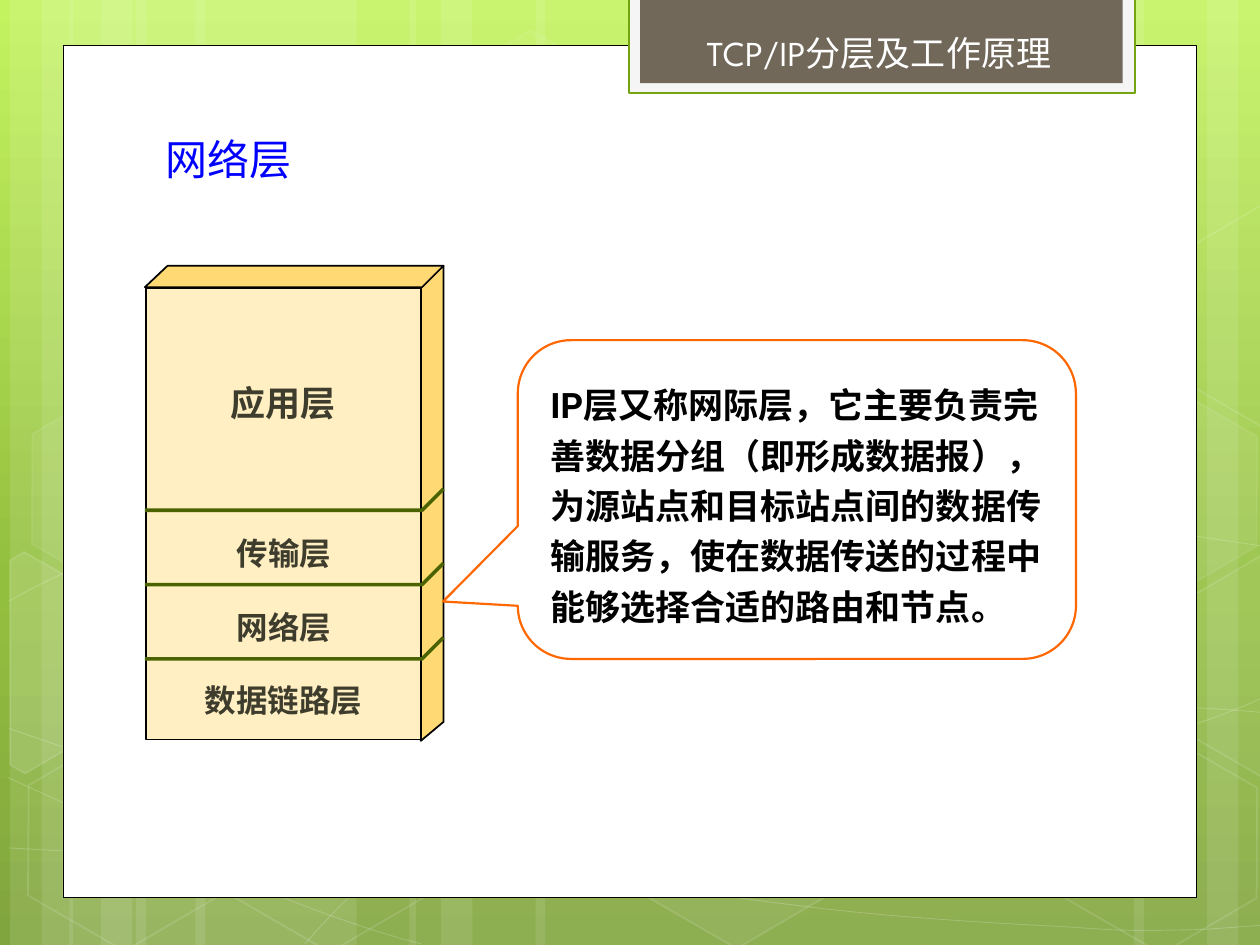
from copy import deepcopy

from pptx import Presentation
from pptx.dml.color import RGBColor
from pptx.enum.shapes import MSO_SHAPE
from pptx.enum.text import PP_ALIGN
from pptx.oxml.ns import qn
from pptx.util import Inches, Pt

COLORS = {
    "white": "FFFFFF", "black": "000000", "frame": "F5F5F5", "green": "74A510",
    "brown": "71685A", "blue": "0000FF", "front": "FFEFC2", "side": "FFDA74",
    "label": "3E3D2D", "divider": "4A6300", "orange": "FF6700",
    "sky": "C3F35F", "middle": "93BF3F", "ground": "81A53E",
}
BACKGROUND = [(0, "sky"), (0.62, "middle"), (1, "ground")]

# Left edge and width of the pale vertical bands
BANDS = [
    (1.08, 1.75), (0.08, 0.5), (0.33, 0.83), (1.55, 1.75), (0.55, 0.5), (0.8, 0.83),
    (7.33, 1.75), (9.58, 0.5), (9, 0.83), (4.25, 3.08), (3.25, 0.5), (3.5, 0.83),
]
# Chained cubic curves: a start point, then three points for each segment
CURVES = [
    [(0.07, 6.73), (0.61, 6.76), (1.15, 6.79), (1.9, 6.78), (2.65, 6.77), (3.58, 6.75),
     (4.58, 6.65), (5.58, 6.55), (7, 6.36), (7.92, 6.17), (8.83, 5.98), (9.77, 5.68),
     (10.07, 5.51)],
    [(0.07, 4.77), (0.36, 4.61), (0.65, 4.46), (1.21, 4.31), (1.78, 4.16), (2.59, 3.94),
     (3.47, 3.87), (4.36, 3.8), (5.44, 3.79), (6.54, 3.87), (7.64, 3.95), (9.47, 4.26),
     (10.07, 4.34)],
    [(0.06, 6.17), (1.27, 6.72), (2.47, 7.27), (3.34, 7.49)],
    [(0.07, 5.78), (0.38, 5.89), (0.7, 6), (1.28, 6.16), (1.86, 6.31), (2.73, 6.56),
     (3.57, 6.73), (4.4, 6.9), (5.45, 7.08), (6.28, 7.18), (7.11, 7.29), (8, 7.33),
     (8.53, 7.36), (9.05, 7.4), (9.19, 7.38), (9.45, 7.38), (9.71, 7.37), (9.89, 7.35),
     (10.07, 7.34)],
    [(2.42, 7.49), (2.6, 7.29), (2.78, 7.09), (3.02, 6.91), (3.26, 6.73), (3.6, 6.53),
     (3.88, 6.39), (4.16, 6.25), (4.33, 6.19), (4.7, 6.09), (5.06, 5.99), (5.73, 5.85),
     (6.08, 5.78), (6.44, 5.71), (6.49, 5.71), (6.8, 5.69), (7.11, 5.66), (7.6, 5.63),
     (7.94, 5.62), (8.29, 5.61), (9.2, 5.62), (9.53, 5.62), (9.71, 5.63), (9.88, 5.64),
     (10.06, 5.66)],
]
# Left, top, fill opacity and line opacity (percent)
HEXAGONS = [
    (3.34, 0.36, 4, 8), (4.97, 5.89, 6, 12), (0.11, 5.91, 0, 12), (0.14, 3.12, 7, 8),
    (1.74, 5.92, 0, 12), (8.34, 5.93, 0, 12), (8.34, 3.14, 7, 8),
]
# Hexagons cut by the slide edge: points and fill opacity
CUT_HEXAGONS = [
    ([(0.08, 4.45), (0.19, 4.38), (0.96, 4.82), (0.95, 5.7), (0.2, 6.14), (0.08, 6.07)], 10),
    ([(9.26, 4.85), (10.01, 4.41), (10.09, 4.46), (10.09, 6.13), (10.02, 6.17), (9.26, 5.73)], 4),
    ([(9.26, 2.07), (10.01, 1.63), (10.1, 1.68), (10.09, 3.35), (10.02, 3.39), (9.26, 2.95)], 0),
]
# Text, left, top, width, height, size
LAYERS = [
    ("应用层", 1.43, 2.97, 1.64, 0.49, 20), ("传输层", 1.54, 4.18, 1.43, 0.45, 18),
    ("网络层", 1.54, 4.77, 1.43, 0.45, 18), ("数据链路层", 1.43, 5.35, 1.64, 0.45, 18),
]
EXPLANATION = (
    "IP层又称网际层，它主要负责完善数据分组（即形成数据报），为源站点和目标站点间的"
    "数据传输服务，使在数据传送的过程中能够选择合适的路由和节点。"
)


def rgb(name):
    return RGBColor.from_string(COLORS[name])


class SlideBuilder:
    def __init__(self, slide):
        self.s = slide

    def paint(self, fill, name, alpha=100):
        if name is None or alpha == 0:
            fill.background()
            return
        fill.solid()
        fill.fore_color.rgb = rgb(name)
        if alpha < 100:
            color = fill._xPr.find(qn("a:solidFill"))[0]
            color.append(color.makeelement(qn("a:alpha"), {"val": str(alpha * 1000)}))

    def style(self, sp, fill=None, alpha=100, line=None, width=1, line_alpha=100):
        sp.shadow.inherit = False
        self.paint(sp.fill, fill, alpha)
        self.paint(sp.line.fill, line, line_alpha)
        if line:
            sp.line.width = Pt(width)
        return sp

    def shape(self, kind, box, adjustments=(), rotation=0, **look):
        sp = self.s.shapes.add_shape(kind, *map(Inches, box))
        for i, value in enumerate(adjustments):
            sp.adjustments[i] = value
        sp.rotation = rotation
        return self.style(sp, **look)

    def rect(self, *box, **look):
        return self.shape(MSO_SHAPE.RECTANGLE, box, **look)

    def outline(self, points, close=False, **look):
        pts = [(Inches(x), Inches(y)) for x, y in points]
        builder = self.s.shapes.build_freeform(*pts[0])
        builder.add_line_segments(pts[1:], close=close)
        return self.style(builder.convert_to_shape(), **look)

    def curve(self, points, **look):
        """Draw a chain of cubic segments, turning every three line ends into one."""
        sp = self.outline(points, **look)
        lines = list(sp._element.iter(qn("a:lnTo")))
        for i in range(0, len(lines), 3):
            cubic = lines[i].makeelement(qn("a:cubicBezTo"), {})
            lines[i].addprevious(cubic)
            for ln in lines[i:i + 3]:
                cubic.append(ln[0])
                ln.getparent().remove(ln)

    def text(self, content, box, frame=None, para=None, color="black", **font):
        tf = self.s.shapes.add_textbox(*map(Inches, box)).text_frame
        p = tf.paragraphs[0]
        r = p.add_run()
        r.text = content
        r.font.color.rgb = rgb(color)
        font["size"] = Pt(font["size"])
        for target, values in ((tf, {"word_wrap": True, **(frame or {})}),
                               (p, para or {}), (r.font, font)):
            for key, value in values.items():
                setattr(target, key, value)

    def background(self, stops):
        fill = self.s.background.fill
        fill.gradient()
        fill.gradient_angle = 270
        first = self.s.element.find(".//" + qn("a:gs"))
        first.addnext(deepcopy(first))
        for stop, (position, color) in zip(fill.gradient_stops, stops):
            stop.position = position
            stop.color.rgb = rgb(color)


def draw_backdrop(b):
    b.background(BACKGROUND)
    for left, width in BANDS:
        b.rect(left, 0, width, 7.5, fill="white", alpha=10)
    for points in CURVES:
        b.curve(points, line="white", width=0.5, line_alpha=20)
    for left, top, alpha, line_alpha in HEXAGONS:
        b.shape(MSO_SHAPE.HEXAGON, (left, top, 1.75, 1.52), [0.285], 30,
                fill="white", alpha=alpha, line="white", line_alpha=line_alpha)
    for points, alpha in CUT_HEXAGONS:
        b.outline(points, close=True, fill="white", alpha=alpha, line="white", line_alpha=12)
    b.rect(0.5, 0.36, 9, 6.76, fill="white", line="black", width=0.5)
    b.rect(4.99, -0.02, 4.02, 0.76, fill="frame", line="green", width=1.25)
    b.rect(5.08, -0.02, 3.83, 0.68, fill="brown")


def draw_layer_stack(b):
    solid = {"close": True, "fill": "side", "line": "black"}
    b.outline([(3.52, 2.11), (3.34, 2.26), (3.34, 5.88), (3.52, 5.73)], **solid)
    b.rect(1.16, 2.29, 2.18, 3.58, fill="front", line="black")
    insets = {"margin_left": Inches(0.16), "margin_right": Inches(0.16),
              "margin_top": Inches(0.08), "margin_bottom": Inches(0.08)}
    for name, *box, size in LAYERS:
        b.text(name, box, insets, {"alignment": PP_ALIGN.CENTER, "line_spacing": 0.95},
               "label", size=size, name="Arial", bold=True)
    b.outline([(1.15, 2.28), (1.33, 2.11), (3.52, 2.11), (3.35, 2.28)], **solid)
    for i in range(3):
        y = 4.05 + 0.59 * i
        b.outline([(1.15, y), (3.35, y), (3.52, y - 0.17)], line="divider", width=2)


def main():
    prs = Presentation()
    prs.slide_width, prs.slide_height = Inches(10), Inches(7.5)
    b = SlideBuilder(prs.slides.add_slide(prs.slide_layouts[6]))
    draw_backdrop(b)
    b.text("网络层", (1.14, 0.93, 7.41, 0.91), {"margin_left": Inches(0.17)},
           {"line_spacing": 1.2}, "blue", size=24, name="League Spartan")
    b.text("TCP/IP分层及工作原理", (5.51, 0.2, 3.03, 0.44), {"word_wrap": False},
           color="white", size=20, name="League Spartan")
    draw_layer_stack(b)
    b.text(EXPLANATION, (4.27, 2.93, 4.27, 2.11), para={"line_spacing": 1.2},
           size=20, name="Roboto", bold=True)
    b.shape(MSO_SHAPE.ROUNDED_RECTANGULAR_CALLOUT, (4.11, 2.7, 4.43, 2.53),
            [-0.634, 0.32, 0.167], line="orange", width=1.25)
    prs.save("out.pptx")


if __name__ == "__main__":
    main()
